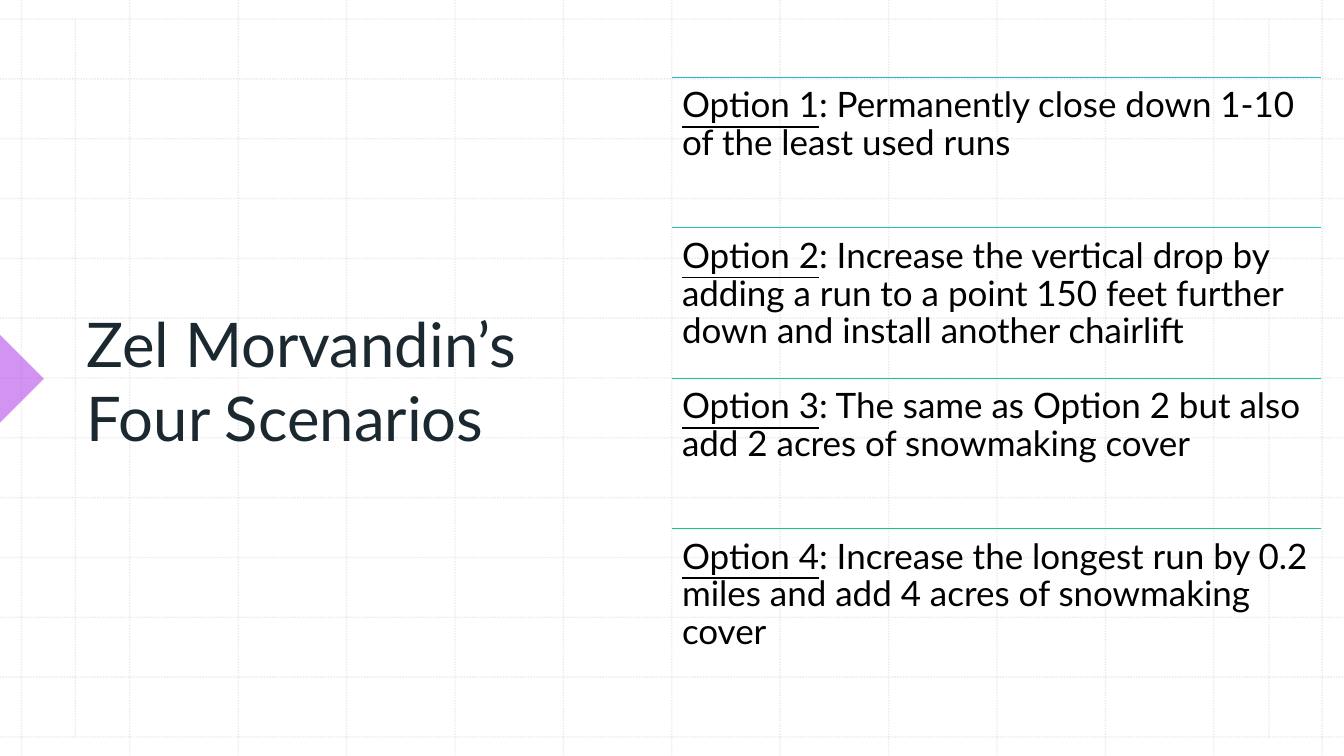
from dataclasses import dataclass

from lxml import etree
from pptx import Presentation
from pptx import util as u
from pptx.dml.color import RGBColor
from pptx.enum import dml, shapes, text
from pptx.oxml.ns import qn

COLORS = {
    "background": "FFFFFF",
    "grid": "BCBCBC",
    "marker": "A629E7",
    "title": "1B2830",
    "option": "000000",
}
FONT = "Lato"
WIDTH, HEIGHT = 33.87, 19.05

# Grid extents in centimetres
GRID_STEPS = 12
GRID_LEFT, GRID_RIGHT = 0.54, 33.32
GRID_TOP, GRID_BOTTOM = 0.48, 18.57
MARGIN_LINES = (1.9, 31.98)

# Option list geometry in centimetres
LIST_LEFT, LIST_TOP, LIST_WIDTH, OPTION_HEIGHT = 16.93, 1.95, 16.36, 3.79


@dataclass(frozen=True)
class Option:
    label: str
    detail: str
    rule_color: str


OPTIONS = [
    Option("Option 1", ": Permanently close down 1-10 of the least used runs", "22BFBE"),
    Option("Option 2", ": Increase the vertical drop by adding a run to a point 150 feet "
           "further down and install another chairlift", "1EC1A9"),
    Option("Option 3", ": The same as Option 2 but also add 2 acres of snowmaking cover",
           "1AC493"),
    Option("Option 4", ": Increase the longest run by 0.2 miles and add 4 acres of "
           "snowmaking cover", "16C67B"),
]


def set_alpha(parent, percent: int) -> None:
    """Make the solid colour inside parent partly transparent."""
    color = next(parent.iter(qn("a:srgbClr")))
    etree.SubElement(color, qn("a:alpha"), val=str(percent * 1000))


def draw_line(slide, x1: float, y1: float, x2: float, y2: float, color: str):
    line = slide.shapes.add_connector(
        shapes.MSO_CONNECTOR.STRAIGHT, u.Cm(x1), u.Cm(y1), u.Cm(x2), u.Cm(y2))
    line.line.color.rgb = RGBColor.from_string(color)
    line.line.width = u.Pt(1)
    etree.SubElement(line.element.spPr, qn("a:effectLst"))
    return line


def draw_grid_line(slide, x1: float, y1: float, x2: float, y2: float) -> None:
    line = draw_line(slide, x1, y1, x2, y2, COLORS["grid"])
    line.line.dash_style = dml.MSO_LINE.ROUND_DOT
    set_alpha(line.element.spPr, 30)


def draw_grid(slide) -> None:
    column_step = (GRID_RIGHT - GRID_LEFT) / GRID_STEPS
    row_step = (GRID_BOTTOM - GRID_TOP) / GRID_STEPS
    for i in range(GRID_STEPS + 1):
        x = GRID_LEFT + i * column_step
        y = GRID_TOP + i * row_step
        draw_grid_line(slide, x, 0, x, HEIGHT)
        draw_grid_line(slide, 0, y, WIDTH, y)
    for x in MARGIN_LINES:
        draw_grid_line(slide, x, GRID_TOP, x, GRID_BOTTOM)


def draw_marker(slide) -> None:
    marker = slide.shapes.add_shape(
        shapes.MSO_SHAPE.RIGHT_TRIANGLE, u.Cm(-0.79), u.Cm(8.76), u.Cm(1.57), u.Cm(1.57))
    marker.rotation = 225
    marker.shadow.inherit = False
    marker.fill.solid()
    marker.fill.fore_color.rgb = RGBColor.from_string(COLORS["marker"])
    set_alpha(marker.element.spPr, 50)
    marker.line.fill.background()


def format_run(run, size: int, color: str) -> None:
    run.font.name = FONT
    run.font.size = u.Pt(size)
    run.font.color.rgb = RGBColor.from_string(color)


def set_title(slide, wording: str) -> None:
    title = slide.shapes.title
    title.left, title.top = u.Cm(1.93), u.Cm(2.01)
    title.width, title.height = u.Cm(14.07), u.Cm(15.11)
    frame = title.text_frame
    frame.text = wording
    frame.word_wrap = True
    frame.auto_size = text.MSO_AUTO_SIZE.NONE
    frame.vertical_anchor = text.MSO_ANCHOR.MIDDLE
    frame.margin_right = u.Cm(1)
    heading = frame.paragraphs[0]
    heading.alignment = text.PP_ALIGN.LEFT
    format_run(heading.runs[0], 44, COLORS["title"])
    # Bring the title in front of the grid
    title.element.getparent().append(title.element)


def draw_option(slide, option: Option, top: float) -> None:
    draw_line(slide, LIST_LEFT, top, LIST_LEFT + LIST_WIDTH, top, option.rule_color)
    box = slide.shapes.add_textbox(
        u.Cm(LIST_LEFT), u.Cm(top), u.Cm(LIST_WIDTH), u.Cm(OPTION_HEIGHT))
    frame = box.text_frame
    frame.word_wrap = True
    frame.margin_left = frame.margin_right = u.Cm(0.26)
    frame.margin_top = frame.margin_bottom = u.Cm(0.26)
    scenario = frame.paragraphs[0]
    scenario.line_spacing = 0.9
    for wording, underlined in ((option.label, True), (option.detail, False)):
        run = scenario.add_run()
        run.text = wording
        format_run(run, 25, COLORS["option"])
        run.font.underline = underlined


def main() -> None:
    deck = Presentation()
    deck.slide_width, deck.slide_height = u.Cm(WIDTH), u.Cm(HEIGHT)
    slide = deck.slides.add_slide(deck.slide_layouts.get_by_name("Title Only"))
    slide.background.fill.solid()
    slide.background.fill.fore_color.rgb = RGBColor.from_string(COLORS["background"])

    # Backdrop
    draw_grid(slide)
    draw_marker(slide)

    # Content
    set_title(slide, "Zel Morvandin’s Four Scenarios")
    for i, option in enumerate(OPTIONS):
        draw_option(slide, option, LIST_TOP + i * OPTION_HEIGHT)

    deck.save("out.pptx")


if __name__ == "__main__":
    main()
